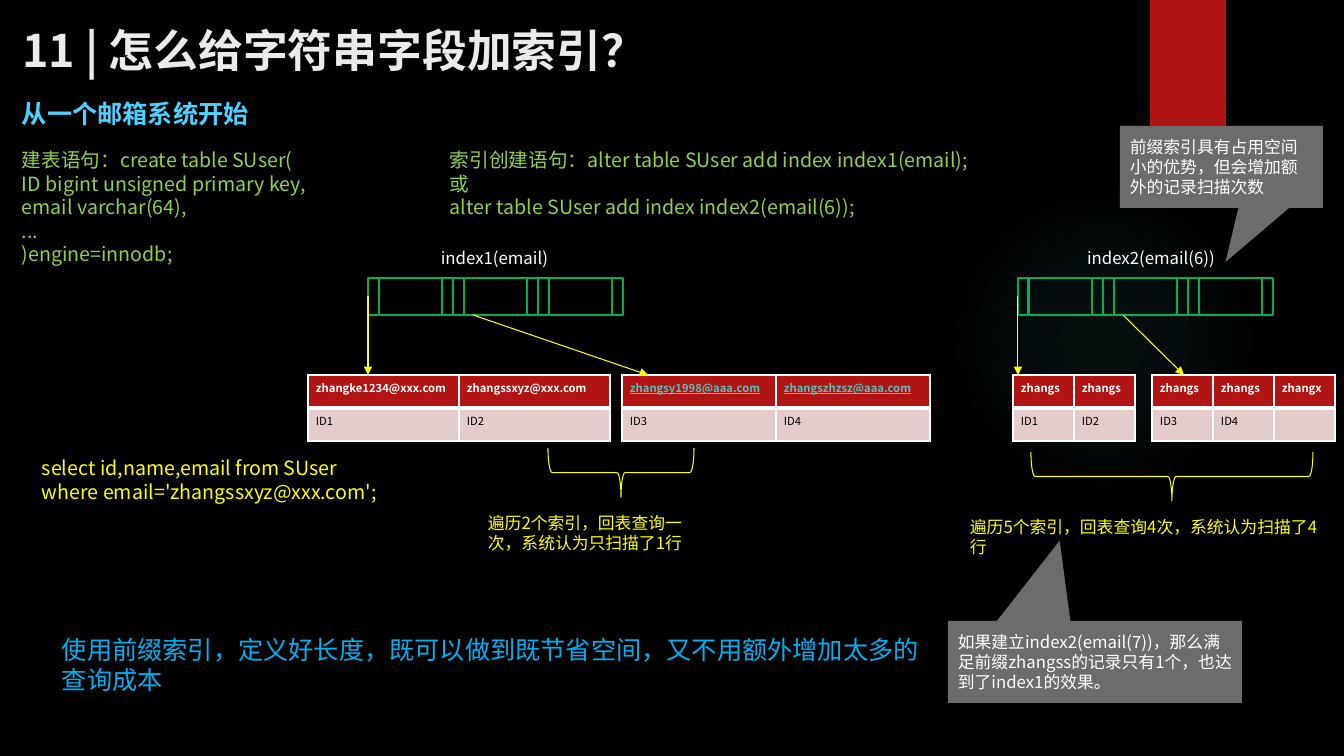
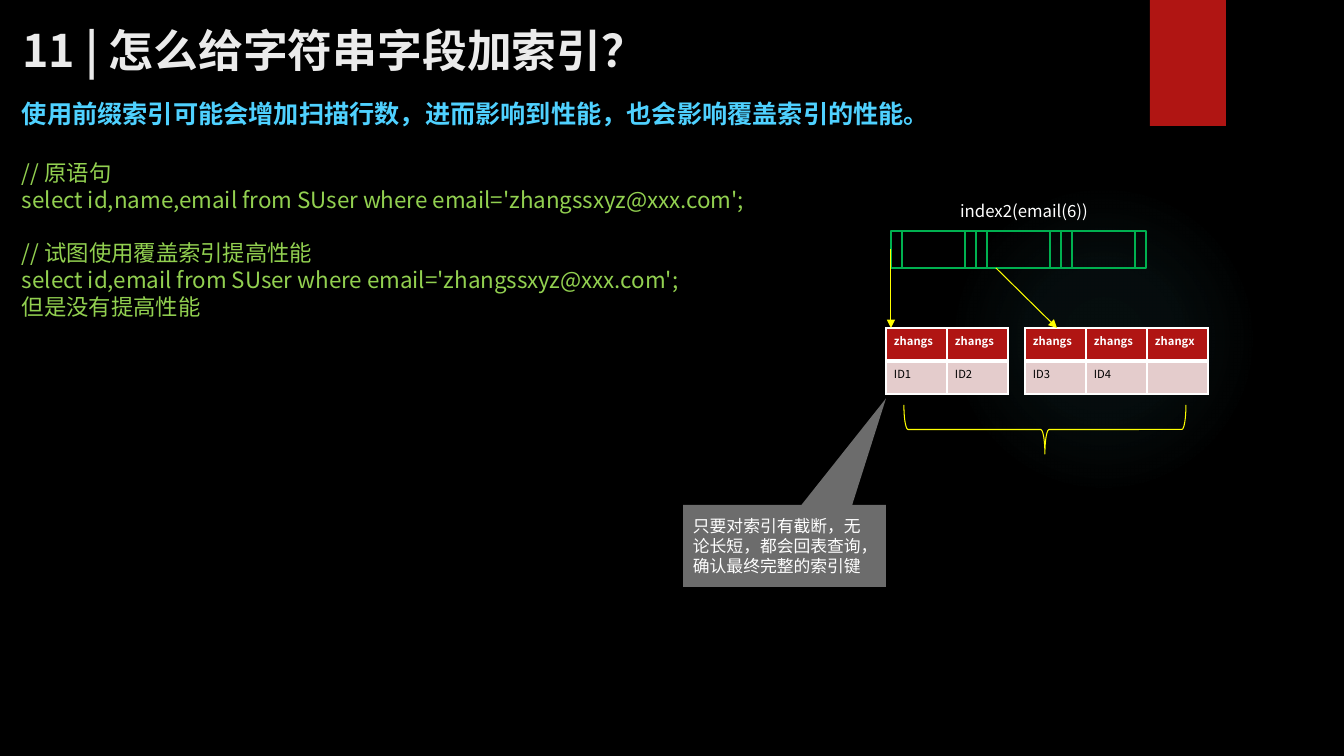
from lxml import etree
from pptx import Presentation
from pptx.dml.color import RGBColor
from pptx.enum.shapes import MSO_CONNECTOR, MSO_SHAPE
from pptx.enum.text import MSO_ANCHOR, PP_ALIGN
from pptx.oxml import parse_xml
from pptx.oxml.ns import nsdecls, qn
from pptx.util import Pt

EMU_PER_PX = 914400 / 100.8
FONT = "Noto Sans CJK SC"
LEFT, CENTER = PP_ALIGN.LEFT, PP_ALIGN.CENTER
MIDDLE = MSO_ANCHOR.MIDDLE
RECT, ELLIPSE = MSO_SHAPE.RECTANGLE, MSO_SHAPE.OVAL
NODE_CELL = MSO_SHAPE.FLOWCHART_PREDEFINED_PROCESS
CALLOUT, BRACE = MSO_SHAPE.RECTANGULAR_CALLOUT, MSO_SHAPE.LEFT_BRACE
STRAIGHT = MSO_CONNECTOR.STRAIGHT

BLACK, WHITE, TITLE_COLOR = "000000", "FFFFFF", "EBEBEB"
RED, PINK, LINK = "B01513", "E4CCCC", "58C1BA"
SKY, BLUE, CODE = "4FD1FF", "00B0F0", "92D050"
GREEN, YELLOW, GREY, GLOW = "00B050", "FFFF00", "D9D9D9", "50B9C1"

TITLE = "11 | 怎么给字符串字段加索引？"
PREFIX_INDEX = {
    "label": "index2(email(6))",
    "label_width": 154,
    "leaves": [
        {"left": -5, "column": 61, "keys": ["zhangs", "zhangs"], "ids": ["ID1", "ID2"]},
        {"left": 134, "column": 61, "keys": ["zhangs", "zhangs", "zhangx"],
         "ids": ["ID3", "ID4", ""]},
    ],
    "pointer": 166,
    "brace": (13, 174, 282, 49),
}
FULL_INDEX = {
    "label": "index1(email)",
    "label_width": 141,
    "leaves": [
        {"left": -60, "column": 151, "ids": ["ID1", "ID2"],
         "keys": ["zhangke1234@xxx.com", "zhangssxyz@xxx.com"]},
        {"left": 254, "column": 154, "ids": ["ID3", "ID4"], "linked": True,
         "keys": ["zhangsy1998@aaa.com", "zhangszhzsz@aaa.com"]},
    ],
    "pointer": 280,
    "brace": (180, 170, 146, 49),
}


def px(*lengths):
    return [round(length * EMU_PER_PX) for length in lengths]


def rgb(color):
    return RGBColor.from_string(color)


def paint(fill, color):
    fill.solid()
    fill.fore_color.rgb = rgb(color)


def write(frame, lines, size, color, align=LEFT, fixed_pitch=True, gaps=(), **formats):
    """Write one paragraph per line; a line listed in gaps gets a line of space above."""
    frame.word_wrap = True
    for number, line in enumerate(lines):
        paragraph = frame.add_paragraph() if number else frame.paragraphs[0]
        paragraph.alignment = align
        if fixed_pitch:
            paragraph.line_spacing = Pt(size * 1.2)
        if number in gaps:
            paragraph.space_before = Pt(size * 1.2)
        if not line:
            etree.SubElement(paragraph._p, qn("a:endParaRPr"), sz=str(size * 100))
            continue
        run = paragraph.add_run()
        run.text = line
        for name, value in {"size": Pt(size), "name": FONT, **formats}.items():
            setattr(run.font, name, value)
        run.font.color.rgb = rgb(color)
        etree.SubElement(run.font._element, qn("a:ea"), typeface=FONT)


def add_text(slide, box, lines, size, color, **formats):
    write(slide.shapes.add_textbox(*px(*box)).text_frame, lines, size, color, **formats)


def add_plain_shape(slide, kind, box, fill=None, line=None, weight=1):
    shape = slide.shapes.add_shape(kind, *px(*box))
    shape.shadow.inherit = False
    if fill:
        paint(shape.fill, fill)
    else:
        shape.fill.background()
    if line:
        shape.line.color.rgb = rgb(line)
        shape.line.width = Pt(weight)
    else:
        shape.line.fill.background()
    return shape


def add_arrow(slide, start, end):
    arrow = slide.shapes.add_connector(STRAIGHT, *px(*start, *end))
    arrow.line.color.rgb = rgb(YELLOW)
    arrow.line.width = Pt(0.75)
    etree.SubElement(arrow.line._get_or_add_ln(), qn("a:tailEnd"), type="triangle")
    etree.SubElement(arrow._element.spPr, qn("a:effectLst"))


def add_brace(slide, left, top, width, height):
    """Place a downward brace, given the box it fills once turned."""
    turn = (width - height) / 2
    brace = add_plain_shape(slide, BRACE, (left + turn, top - turn, height, width),
                            line=YELLOW, weight=0.75)
    brace.rotation = 270


def add_callout(slide, box, tip, text):
    callout = add_plain_shape(slide, CALLOUT, box, fill=GREY)
    for number, offset in enumerate(tip):
        callout.adjustments[number] = offset
    fill_color = callout._element.spPr.find(qn("a:solidFill"))[0]
    etree.SubElement(fill_color, qn("a:alpha"), val="50000")
    callout.text_frame.vertical_anchor = MIDDLE
    write(callout.text_frame, [text], 12, WHITE)


def set_borders(cell, bottom):
    properties = cell._tc.get_or_add_tcPr()
    for side, weight in (("L", 1), ("R", 1), ("T", 1), ("B", bottom)):
        properties.append(parse_xml(
            f'<a:ln{side} {nsdecls("a")} w="{Pt(weight)}"><a:solidFill>'
            f'<a:srgbClr val="{WHITE}"/></a:solidFill></a:ln{side}>'))


def add_leaf(slide, left, top, leaf):
    """Draw a leaf page: index keys above, primary keys below."""
    count, column, row = len(leaf["keys"]), leaf["column"], 33
    table = slide.shapes.add_table(
        2, count, *px(left, top, column * count, row * 2)).table
    table.horz_banding = False
    linked = leaf.get("linked", False)
    key_style = {"color": LINK if linked else WHITE, "bold": True, "underline": linked}
    id_style = {"color": BLACK, "bold": False}
    rows = ((leaf["keys"], RED, 3, key_style), (leaf["ids"], PINK, 1, id_style))
    for r, (texts, fill, bottom, style) in enumerate(rows):
        for c, text in enumerate(texts):
            cell = table.cell(r, c)
            margins = px(8, 4)
            cell.margin_left = cell.margin_right = margins[0]
            cell.margin_top = cell.margin_bottom = margins[1]
            set_borders(cell, bottom)
            paint(cell.fill, fill)
            write(cell.text_frame, [text], 8, fixed_pitch=False, **style)


def add_index(slide, left, top, index):
    """Draw an index tree; left and top are the corner of its root node."""
    cell_width, cell_height, leaf_top = 85, 37, top + 97
    add_text(slide, (left + 56, top - 35, index["label_width"], 30),
             [index["label"]], 12, WHITE, align=CENTER)
    for number in range(3):
        add_plain_shape(slide, NODE_CELL,
                        (left + number * cell_width, top, cell_width, cell_height),
                        line=GREEN, weight=1.5)
    for leaf in index["leaves"]:
        add_leaf(slide, left + leaf["left"], leaf_top, leaf)
    add_arrow(slide, (left, top + 18), (left, leaf_top))
    add_arrow(slide, (left + 105, top + cell_height), (left + index["pointer"], leaf_top))
    brace_left, brace_top, width, height = index["brace"]
    add_brace(slide, left + brace_left, top + brace_top, width, height)


def style_layout(layout, slide):
    """Give the layout its background, glow, red band and title place."""
    paint(layout.background.fill, BLACK)
    glow = add_plain_shape(slide, ELLIPSE, (949, 184, 310, 310), fill=GLOW)
    stops = "".join(
        f'<a:gs pos="{place * 1000}"><a:srgbClr val="{GLOW}">'
        f'<a:alpha val="{alpha * 1000}"/></a:srgbClr></a:gs>'
        for place, alpha in ((0, 7), (36, 6), (69, 0), (100, 0)))
    solid = glow._element.spPr.find(qn("a:solidFill"))
    solid.getparent().replace(solid, parse_xml(
        f'<a:gradFill {nsdecls("a")}><a:gsLst>{stops}</a:gsLst><a:path path="circle">'
        '<a:fillToRect l="50000" t="50000" r="50000" b="50000"/></a:path></a:gradFill>'))
    band = add_plain_shape(slide, RECT, (1150, 0, 76, 126), fill=RED)
    for decoration in (glow, band):
        layout.shapes._spTree.append(decoration._element)
    title = layout.placeholders[0]
    title.left, title.top, title.width, title.height = px(12, 17, 1229, 66)
    title.text_frame.vertical_anchor = MIDDLE


def add_page(deck, layout, subtitle):
    slide = deck.slides.add_slide(layout)
    write(slide.shapes.title.text_frame, [TITLE], 32, TITLE_COLOR,
          fixed_pitch=False, bold=True)
    add_text(slide, (12, 93, 1000, 40), [subtitle], 18, SKY, bold=True)
    return slide


def fill_comparison(slide):
    add_text(slide, (12, 143, 372, 129), [
        "建表语句：create table SUser(",
        "ID bigint unsigned primary key,",
        "email varchar(64),",
        "...",
        ")engine=innodb;",
    ], 14, CODE)
    add_text(slide, (32, 451, 368, 57), [
        "select id,name,email from SUser",
        "where email='zhangssxyz@xxx.com';",
    ], 14, YELLOW)
    add_text(slide, (440, 143, 623, 82), [
        "索引创建语句：alter table SUser add index index1(email);",
        "或",
        "alter table SUser add index index2(email(6));",
    ], 14, CODE)
    add_index(slide, 368, 278, FULL_INDEX)
    add_index(slide, 1018, 278, PREFIX_INDEX)
    add_text(slide, (478, 508, 228, 50),
             ["遍历2个索引，回表查询一次，系统认为只扫描了1行"], 12, YELLOW)
    add_text(slide, (960, 512, 376, 50),
             ["遍历5个索引，回表查询4次，系统认为扫描了4行"], 12, YELLOW)
    add_callout(slide, (1120, 126, 203, 82), (0.02, 1.16),
                "前缀索引具有占用空间小的优势，但会增加额外的记录扫描次数")
    add_callout(slide, (948, 621, 294, 82), (-0.12, -1.48),
                "如果建立index2(email(7))，那么满足前缀zhangss的记录只有1个，"
                "也达到了index1的效果。")
    add_text(slide, (52, 629, 879, 72),
             ["使用前缀索引，定义好长度，既可以做到既节省空间，又不用额外增加太多的查询成本"],
             18, BLUE)


def fill_covering_index(slide):
    add_text(slide, (12, 154, 854, 173), [
        "// 原语句",
        "select id,name,email from SUser where email='zhangssxyz@xxx.com';",
        "// 试图使用覆盖索引提高性能",
        "select id,email from SUser where email='zhangssxyz@xxx.com';",
        "但是没有提高性能",
    ], 16, CODE, gaps=(2,))
    add_index(slide, 891, 231, PREFIX_INDEX)
    add_callout(slide, (683, 505, 203, 82), (0.5, -1.8),
                "只要对索引有截断，无论长短，都会回表查询，确认最终完整的索引键")


def main():
    deck = Presentation()
    deck.slide_width, deck.slide_height = px(1344, 756)
    layout = deck.slide_layouts[5]
    comparison = add_page(deck, layout, "从一个邮箱系统开始")
    style_layout(layout, comparison)
    fill_comparison(comparison)
    fill_covering_index(add_page(
        deck, layout, "使用前缀索引可能会增加扫描行数，进而影响到性能，也会影响覆盖索引的性能。"))
    deck.save("out.pptx")


if __name__ == "__main__":
    main()
